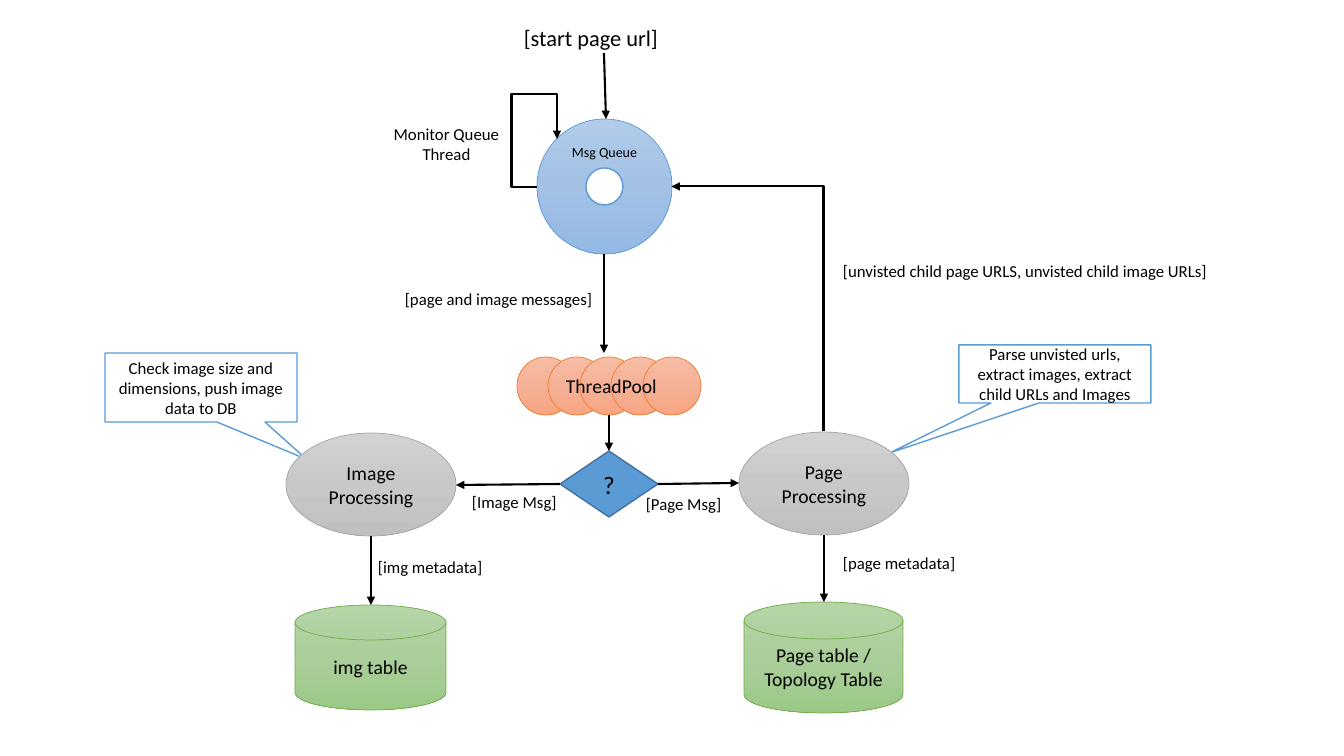
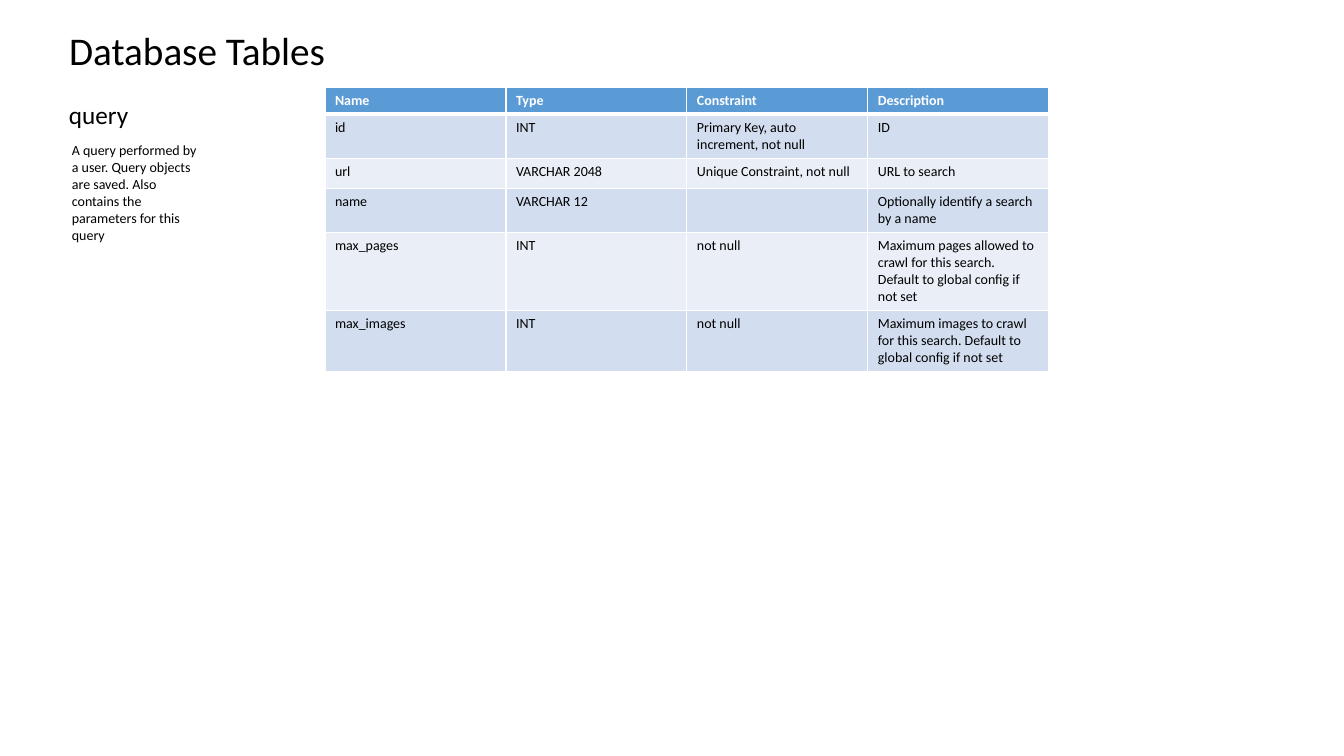
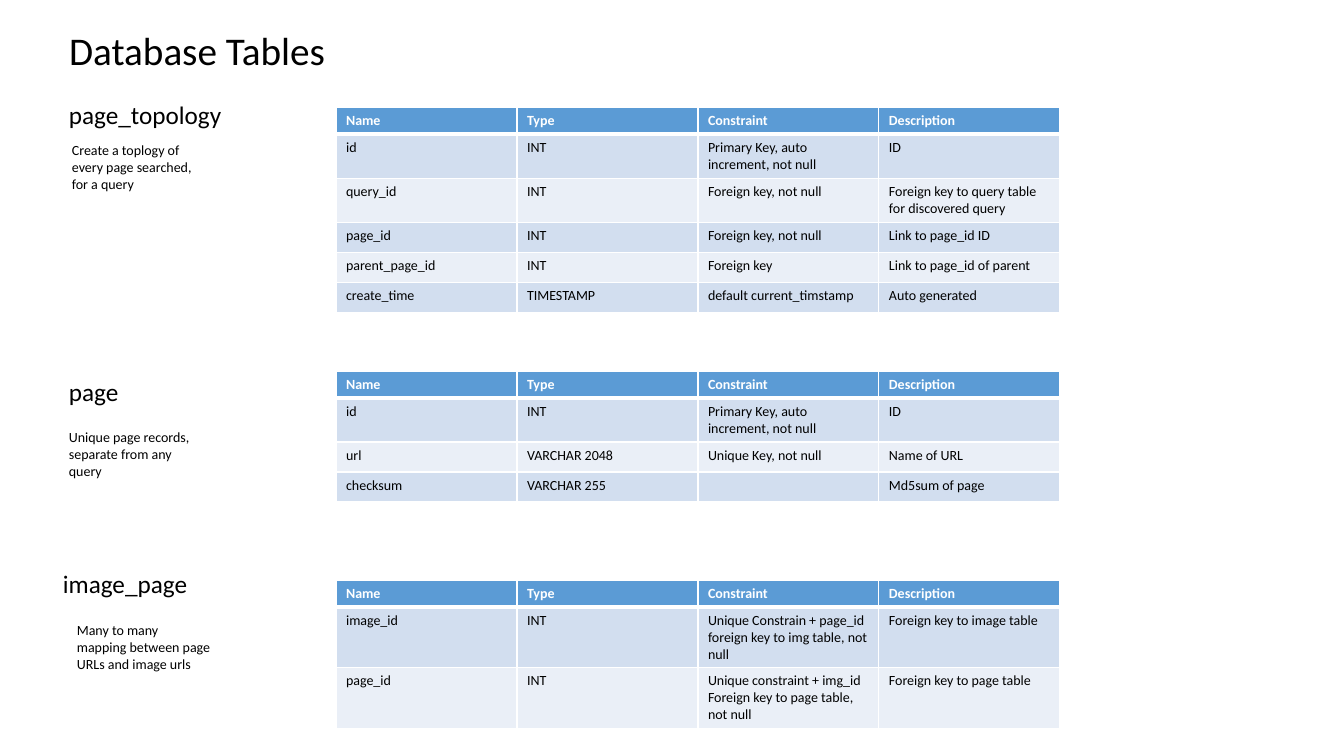
from copy import deepcopy
from dataclasses import dataclass

from lxml.etree import SubElement
from pptx import Presentation
from pptx.dml.color import RGBColor
from pptx.enum.shapes import MSO_CONNECTOR, MSO_SHAPE
from pptx.enum.text import MSO_ANCHOR, MSO_AUTO_SIZE, PP_ALIGN
from pptx.oxml.ns import qn
from pptx.util import Emu, Pt

EMU_PER_PX = 914400 / 100.8
FONT = "Calibri"
COLORS = {
    "black": "000000", "white": "FFFFFF", "blue": "5B9BD5", "dark_blue": "43739E",
    "orange": "ED7D31", "gray": "A5A5A5", "green": "70AD47",
    "band_dark": "D2DEEF", "band_light": "EAEFF7",
}
GRADIENTS = {
    "blue": ("B1CBE9", "A3C1E5", "93B9E4"),
    "orange": ("F7BDA5", "F5B196", "F8A582"),
    "gray": ("D2D2D2", "C8C8C8", "C0C0C0"),
    "green": ("B5D5A7", "AACE9A", "9CC987"),
}
Rect = tuple[int, int, int, int]
Point = tuple[int, int]


@dataclass(frozen=True)
class Node:
    kind: MSO_SHAPE
    rect: Rect
    line: str
    fill: str = ""  # empty: gradient of the line colour
    text: str = ""
    size: int = 14
    anchor: MSO_ANCHOR = MSO_ANCHOR.MIDDLE
    adjust: tuple[float, ...] = ()


@dataclass(frozen=True)
class Label:
    text: str
    rect: Rect
    size: int = 12
    wrap: bool = False
    align: PP_ALIGN = PP_ALIGN.LEFT


@dataclass(frozen=True)
class Flow:
    start: Point
    end: Point
    preset: str = "line"
    turn: int = 0
    adjust: tuple[int, ...] = ()


@dataclass(frozen=True)
class Row:
    cells: tuple[str, str, str, str]
    lines: int = 1


@dataclass(frozen=True)
class Schema:
    name: Label
    purpose: Label
    corner: Point
    rows: tuple[Row, ...]


def px(length: float) -> Emu:
    return Emu(round(length * EMU_PER_PX))


def rgb(name: str) -> RGBColor:
    return RGBColor.from_string(COLORS[name])


def write(frame, text: str, size: int, color: str = "black", bold: bool = False,
          align: PP_ALIGN = PP_ALIGN.LEFT) -> None:
    frame.text = text
    for paragraph in frame.paragraphs:
        paragraph.alignment = align
        for run in paragraph.runs:
            run.font.name, run.font.size, run.font.bold = FONT, Pt(size), bold
            run.font.color.rgb = rgb(color)
        for line_break in paragraph._p.findall(qn("a:br")):
            line_break.insert(0, deepcopy(paragraph.runs[0]._r.rPr))
        if not paragraph.runs:
            SubElement(paragraph._p, qn("a:endParaRPr"), sz=str(size * 100))


def fill_gradient(shape, stops: tuple[str, ...]) -> None:
    shape.fill.gradient()
    shape.fill.gradient_angle = 270
    stop_list = shape._element.spPr.find(".//" + qn("a:gsLst"))
    stop_list.insert(1, deepcopy(stop_list[0]))
    for index, (stop, color) in enumerate(zip(shape.fill.gradient_stops, stops)):
        stop.position = index / 2
        stop.color.rgb = RGBColor.from_string(color)


def draw_node(slide, node: Node) -> None:
    shape = slide.shapes.add_shape(node.kind, *map(px, node.rect))
    shape.shadow.inherit = False
    for index, value in enumerate(node.adjust):
        shape.adjustments[index] = value
    if node.fill:
        shape.fill.solid()
        shape.fill.fore_color.rgb = rgb(node.fill)
    else:
        fill_gradient(shape, GRADIENTS[node.line])
    shape.line.color.rgb = rgb(node.line)
    shape.line.width = Pt(1 if node.fill else 0.5)
    if node.text:
        shape.text_frame.word_wrap = True
        shape.text_frame.vertical_anchor = node.anchor
        write(shape.text_frame, node.text, node.size, align=PP_ALIGN.CENTER)


def draw_label(slide, label: Label) -> None:
    frame = slide.shapes.add_textbox(*map(px, label.rect)).text_frame
    frame.word_wrap = label.wrap
    frame.auto_size = MSO_AUTO_SIZE.SHAPE_TO_FIT_TEXT
    write(frame, label.text, label.size, align=label.align)


def draw_flow(slide, flow: Flow) -> None:
    arrow = slide.shapes.add_connector(
        MSO_CONNECTOR.STRAIGHT, *map(px, flow.start + flow.end))
    arrow.line.color.rgb = rgb("black")
    arrow.line.width = Pt(1.5)
    properties = arrow._element.spPr
    SubElement(properties.find(qn("a:ln")), qn("a:tailEnd"), type="triangle")
    SubElement(properties, qn("a:effectLst"))
    geometry = properties.find(qn("a:prstGeom"))
    geometry.set("prst", flow.preset)
    for index, value in enumerate(flow.adjust, 1):
        SubElement(geometry.find(qn("a:avLst")), qn("a:gd"),
                   name=f"adj{index}", fmla=f"val {value}")
    if flow.turn:
        properties.find(qn("a:xfrm")).set("rot", str(flow.turn * 60000))


def add_borders(cell, top: int, bottom: int) -> None:
    properties = cell._tc.get_or_add_tcPr()
    for side, points in (("L", 1), ("R", 1), ("T", top), ("B", bottom)):
        border = SubElement(properties, qn(f"a:ln{side}"), w=str(Pt(points)))
        paint = SubElement(border, qn("a:solidFill"))
        SubElement(paint, qn("a:srgbClr"), val=COLORS["white"])


COLUMNS = Row(("Name", "Type", "Constraint", "Description"))
COLUMN_WIDTH, HEADER_HEIGHT, ROW_HEIGHT = 181, 27, 30


def draw_schema(slide, schema: Schema) -> None:
    rows = (COLUMNS, *schema.rows)
    table = slide.shapes.add_table(
        len(rows), 4, *map(px, schema.corner), px(4 * COLUMN_WIDTH),
        px(len(rows) * ROW_HEIGHT)).table
    for column in table.columns:
        column.width = px(COLUMN_WIDTH)
    for index, row in enumerate(rows):
        header = index == 0
        height = HEADER_HEIGHT if header else max(ROW_HEIGHT, round(10 + 16.8 * row.lines))
        table.rows[index].height = px(height)
        band = "blue" if header else ("band_light", "band_dark")[index % 2]
        for cell, text in zip(table.rows[index].cells, row.cells):
            add_borders(cell, 3 if index == 1 else 1, 3 if header else 1)
            cell.fill.solid()
            cell.fill.fore_color.rgb = rgb(band)
            write(cell.text_frame, text, 10, "white" if header else "black", header)
    draw_label(slide, schema.name)
    draw_label(slide, schema.purpose)


def add_schema_slide(deck, schemas: tuple[Schema, ...]) -> None:
    slide = deck.slides.add_slide(deck.slide_layouts[5])
    title = slide.shapes.title
    title.left, title.top, title.width, title.height = map(px, (59, 21, 1169, 228))
    title.text_frame.vertical_anchor = MSO_ANCHOR.TOP
    title.text_frame.auto_size = MSO_AUTO_SIZE.NONE
    write(title.text_frame, "Database Tables", 28)
    for schema in schemas:
        draw_schema(slide, schema)


# Crawler flow content
OVAL, DISK = MSO_SHAPE.OVAL, MSO_SHAPE.FLOWCHART_MAGNETIC_DISK
CALLOUT = MSO_SHAPE.RECTANGULAR_CALLOUT
NODES = (
    Node(OVAL, (537, 119, 135, 135), "blue", text="Msg Queue", size=10,
         anchor=MSO_ANCHOR.TOP),
    Node(OVAL, (586, 168, 37, 37), "blue", "white"),
    *(Node(OVAL, (517 + 63 * i // 2, 357, 58, 58), "orange") for i in range(5)),
    Node(DISK, (295, 605, 151, 105), "green", text="img table"),
    Node(CALLOUT, (959, 345, 192, 58), "blue", "white",
         "Parse unvisted urls, extract images, extract child URLs and Images", 12,
         adjust=(-0.86, 1.36)),
    Node(CALLOUT, (105, 353, 192, 69), "blue", "white",
         "Check image size and dimensions, push image data to DB", 12,
         adjust=(0.55, 1.04)),
    Node(MSO_SHAPE.FLOWCHART_DECISION, (560, 451, 98, 66), "dark_blue", "blue", "?", 18),
    Node(OVAL, (286, 433, 170, 103), "gray", text="Image Processing"),
    Node(OVAL, (739, 432, 170, 103), "gray", text="Page Processing"),
    Node(DISK, (744, 602, 159, 111), "green", text="Page table / Topology Table"),
)
FLOWS = (
    Flow((604, 53), (606, 119)),
    Flow((604, 254), (604, 353)),
    Flow((609, 415), (609, 451)),
    Flow((658, 484), (739, 483)),
    Flow((560, 484), (456, 485)),
    Flow((371, 536), (371, 605)),
    Flow((824, 535), (824, 602)),
    # Page processing back to the queue, and the queue monitoring itself
    Flow((625, 385), (870, 233), "bentConnector2", turn=270),
    Flow((537, 187), (557, 139), "bentConnector4", adjust=(-127700, 194300)),
)
LABELS = (
    Label("ThreadPool", (556, 369, 112, 34), 14),
    Label("[unvisted child page URLS, unvisted child image URLs]", (833, 256, 388, 30)),
    Label("[start page url]", (514, 19, 156, 37), 16),
    Label("[Image Msg]", (462, 487, 106, 30)),
    Label("[img metadata]", (368, 552, 126, 30)),
    Label("[page metadata]", (833, 548, 134, 30)),
    Label("[Page Msg]", (636, 489, 97, 30)),
    Label("Monitor Queue\nThread", (383, 119, 127, 50), align=PP_ALIGN.CENTER),
    Label("[page and image messages]", (395, 284, 217, 30)),
)

# Database schema content
ID_ROW = Row(("id", "INT", "Primary Key, auto increment, not null", "ID"), 2)
QUERY = Schema(
    Label("query", (59, 94, 81, 40), 18),
    Label("A query performed by a user. Query objects are saved. Also contains the "
          "parameters for this query", (62, 137, 153, 112), 10, True),
    (325, 87),
    (
        ID_ROW,
        Row(("url", "VARCHAR 2048", "Unique Constraint, not null", "URL to search")),
        Row(("name", "VARCHAR 12", "", "Optionally identify a search by a name"), 2),
        Row(("max_pages", "INT", "not null", "Maximum pages allowed to crawl for this "
             "search. Default to global config if not set"), 4),
        Row(("max_images", "INT", "not null", "Maximum images to crawl for this search. "
             "Default to global config if not set"), 3),
    ),
)
PAGE_TOPOLOGY = Schema(
    Label("page_topology", (59, 94, 174, 40), 18),
    Label("Create a toplogy of every page searched, for a query",
          (62, 137, 153, 61), 10, True),
    (336, 107),
    (
        ID_ROW,
        Row(("query_id", "INT", "Foreign key, not null",
             "Foreign key to query table for discovered query"), 2),
        Row(("page_id", "INT", "Foreign key, not null", "Link to page_id ID")),
        Row(("parent_page_id", "INT", "Foreign key", "Link to page_id of parent")),
        Row(("create_time", "TIMESTAMP", "default current_timstamp", "Auto generated")),
    ),
)
PAGE = Schema(
    Label("page", (59, 371, 71, 40), 18),
    Label("Unique page records, separate from any query", (59, 424, 153, 61), 10, True),
    (336, 371),
    (
        ID_ROW,
        Row(("url", "VARCHAR 2048", "Unique Key, not null", "Name of URL")),
        Row(("checksum", "VARCHAR 255", "", "Md5sum of page")),
    ),
)
IMAGE_PAGE = Schema(
    Label("image_page", (53, 563, 146, 40), 18),
    Label("Many to many mapping between page URLs and image urls",
          (67, 617, 153, 78), 10, True),
    (336, 580),
    (
        Row(("image_id", "INT", "Unique Constrain + page_id\vforeign key to img table, "
             "not null", "Foreign key to image table"), 3),
        Row(("page_id", "INT", "Unique constraint + img_id\vForeign key to page table, "
             "not null", "Foreign key to page table"), 3),
    ),
)

# Build the deck
deck = Presentation()
deck.slide_width, deck.slide_height = px(1344), px(756)
crawler = deck.slides.add_slide(deck.slide_layouts[6])
for node in NODES:
    draw_node(crawler, node)
for flow in FLOWS:
    draw_flow(crawler, flow)
for label in LABELS:
    draw_label(crawler, label)
add_schema_slide(deck, (QUERY,))
add_schema_slide(deck, (PAGE_TOPOLOGY, PAGE, IMAGE_PAGE))
deck.save("out.pptx")
